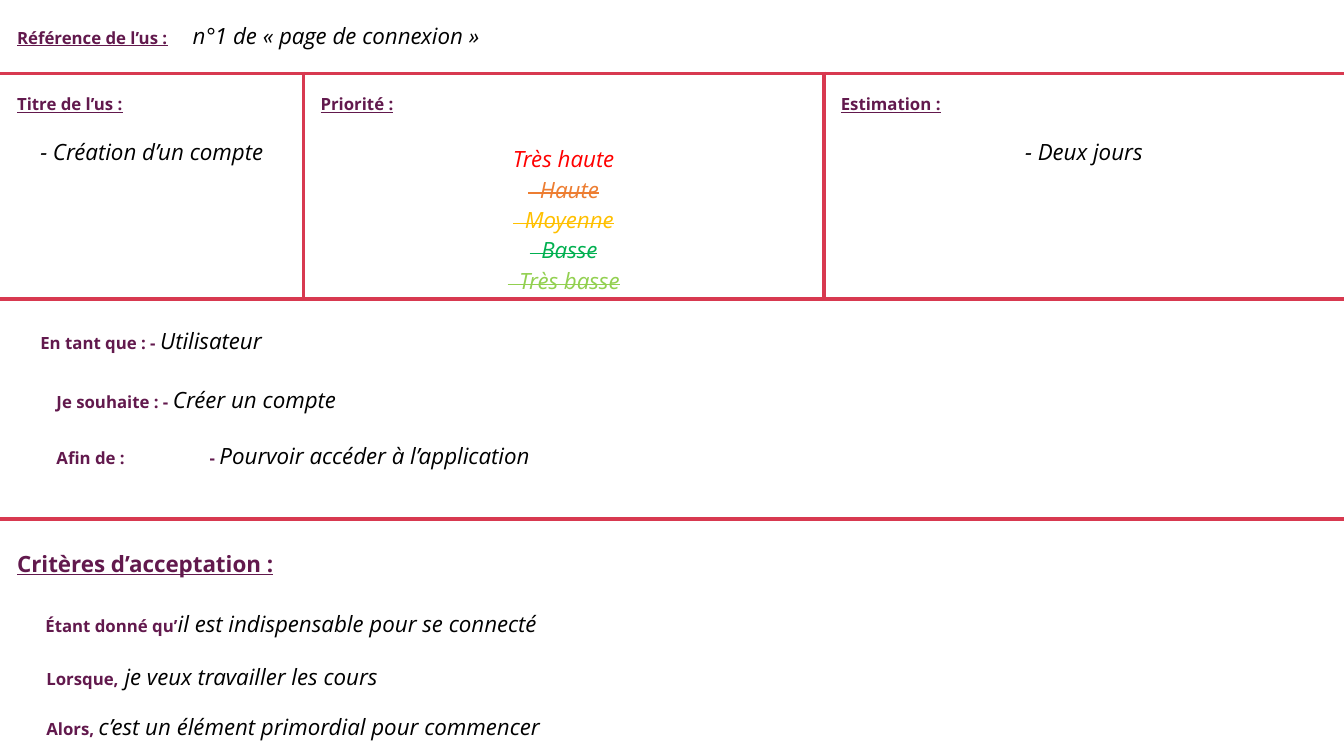
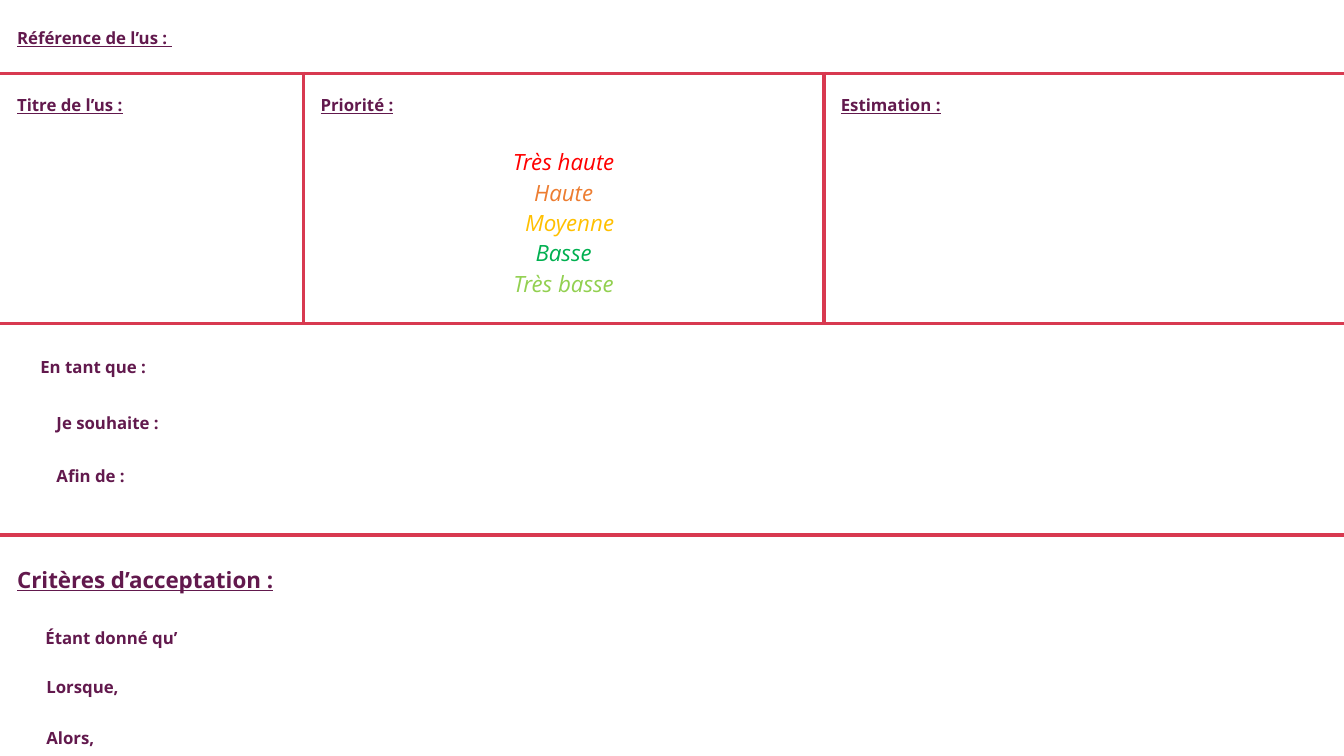
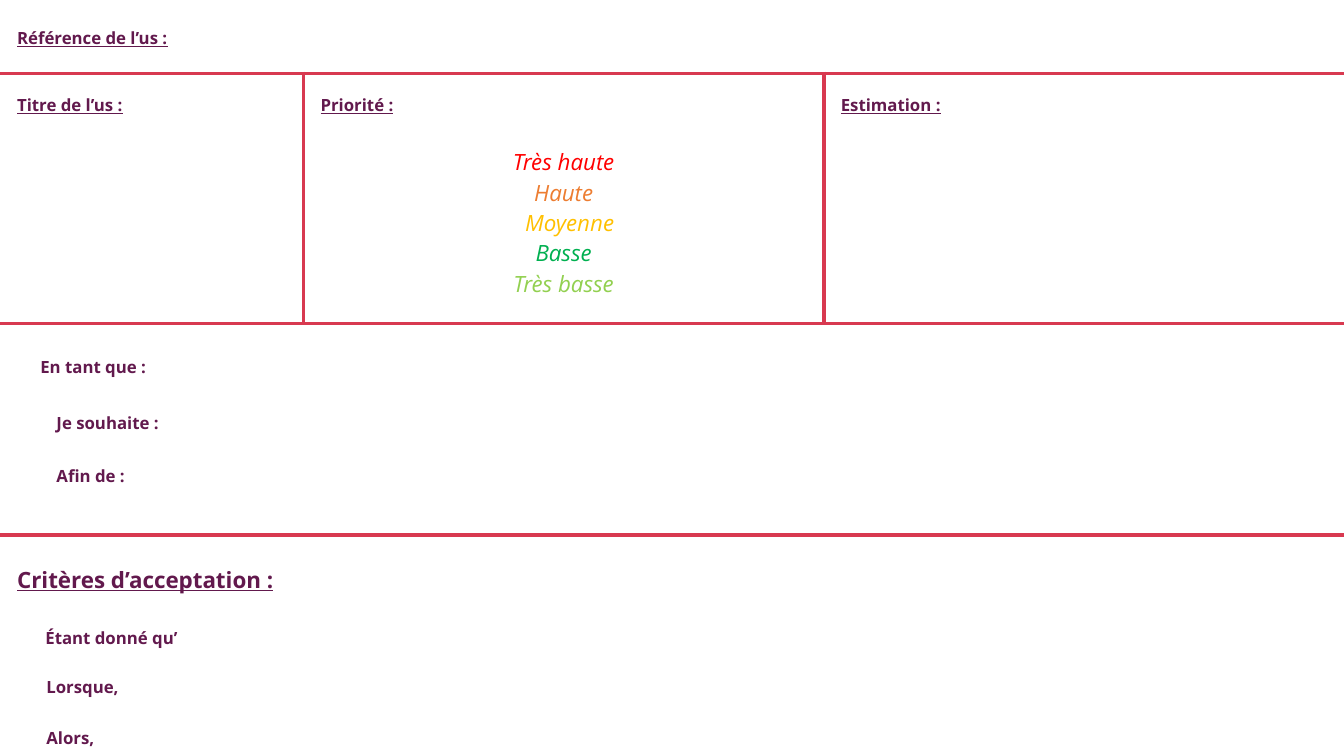
"""Build three user-story cards, each laid out as one bordered table."""
from dataclasses import dataclass
from lxml.etree import SubElement
from pptx import Presentation
from pptx.dml.color import RGBColor
from pptx.enum.text import MSO_ANCHOR, PP_ALIGN
from pptx.oxml.ns import qn
from pptx.util import Inches, Pt


@dataclass(frozen=True)
class Theme:
    font: str = "Open Sans"
    label: str = "62194D"
    value: str = "000000"
    rule: str = "D83950"
    paper: str = "FFFFFF"
    small: int = 12
    large: int = 16
    rule_pt: int = 3
    ascent: float = 1.07
    descent: float = 0.29
    pad: float = 0.06


T = Theme()
COLS = [3.01, 5.16, 5.16]
HEADINGS = ["Titre de l’us :", "Priorité :", "Estimation :"]
REFERENCE = "Référence de l’us\u00a0:"
CRITERIA_HEADING = "Critères d’acceptation :"
STORY_LABELS = [(0.4, "En tant que : "), (0.56, "Je souhaite : "), (0.56, "Afin de :")]
CRITERIA_LABELS = [(0.45, "Étant donné qu’"), (0.46, "Lorsque,"), (0.46, "Alors, ")]
LEVELS = [("Très haute", "FF0000"), ("Haute", "ED7D31"), ("Moyenne", "FFC000"),
          ("Basse", "00B050"), ("Très basse", "92D050")]
LEFT, REF_TAB, GOAL_TAB = 0.17, 1.8, 1.58
REF_Y, DETAIL_Y = 0.44, 1.6
LEVEL_STEP = T.large * (T.ascent + T.descent) / 72

FILLED = dict(
    rows=[0.73, 2.24, 2.18, 2.35], heading_y=1.1, level_y=1.67,
    story_y=[3.47, 4.05, 4.61], criteria_y=[5.68, 6.28, 6.8, 7.3])
EMPTY = dict(
    rows=[0.73, 2.48, 2.1, 2.35], heading_y=1.11, level_y=1.7,
    story_y=[3.71, 4.27, 4.8], criteria_y=[5.84, 6.39, 6.88, 7.39])

NO_ANSWERS = dict(title="", estimate="", chosen=None, story=[""] * 3, criteria=[""] * 3)
CARDS = [
    dict(layout=FILLED, reference=REFERENCE, number="\tn°1 de «\u00a0page de connexion\u00a0»",
         title="- Création d’un compte", estimate="- Deux jours", chosen="Très haute",
         story=["- Utilisateur", "- Créer un compte", "\t- Pourvoir accéder à l’application"],
         criteria=["il est indispensable pour se connecté", " je veux travailler les cours",
                   "c’est un élément primordial pour commencer"]),
    dict(layout=EMPTY, reference=REFERENCE + " ", number="", **NO_ANSWERS),
    dict(layout=EMPTY, reference=REFERENCE, number="", **NO_ANSWERS),
]


def label(text, size=T.small, underline=False):
    """Describe a bold label run."""
    return dict(text=text, size=size, color=T.label, bold=True, underline=underline)


def value(text, color=T.value, strike=False):
    """Describe an italic value run."""
    return dict(text=text, size=T.large, color=color, italic=True, strike=strike)


def line(y, runs, x=T.pad, center=False, tab=None):
    """Describe a line by its baseline, left edge and runs."""
    return dict(y=y, x=x, runs=[r for r in runs if r["text"]], center=center, tab=tab)


def add_run(p, text, size, color, bold=False, italic=False, underline=False, strike=False):
    """Append one formatted run."""
    r = p.add_run()
    r.text = text
    f = r.font
    f.name, f.size, f.color.rgb = T.font, Pt(size), RGBColor.from_string(color)
    f.bold, f.italic, f.underline = bold, italic, underline
    if strike:
        f._element.set("strike", "sngStrike")


def write(cell, top, lines):
    """Set lines on their baselines by means of paragraph spacing."""
    bottom = top
    for i, ln in enumerate(lines):
        size = max(r["size"] for r in ln["runs"])
        gap = max(0, round(ln["y"] - size * T.ascent / 72 - bottom, 2))
        p = cell.text_frame.paragraphs[0] if i == 0 else cell.text_frame.add_paragraph()
        if i == 0:
            cell.margin_top = Inches(gap)
        else:
            p.space_before = Pt(gap * 72)
        p.alignment = PP_ALIGN.CENTER if ln["center"] else PP_ALIGN.LEFT
        pPr = p._p.get_or_add_pPr()
        pPr.set("marL", str(Inches(ln["x"] - T.pad)))
        if ln["tab"]:
            tabs = SubElement(pPr, qn("a:tabLst"))
            SubElement(tabs, qn("a:tab"), pos=str(Inches(ln["tab"] - T.pad)), algn="l")
        for r in ln["runs"]:
            add_run(p, **r)
        bottom = ln["y"] + size * T.descent / 72


def style_cell(cell, ruled):
    """Fill a cell and rule the named sides."""
    cell.margin_left = cell.margin_right = Inches(T.pad)
    cell.margin_top = cell.margin_bottom = 0
    cell.vertical_anchor = MSO_ANCHOR.TOP
    tcPr = cell._tc.get_or_add_tcPr()
    for side in "LRTB":
        ln = SubElement(tcPr, qn("a:ln" + side), w=str(Pt(T.rule_pt)))
        if side in ruled:
            fill = SubElement(ln, qn("a:solidFill"))
            SubElement(fill, qn("a:srgbClr"), val=T.rule)
        else:
            SubElement(ln, qn("a:noFill"))
    cell.fill.solid()
    cell.fill.fore_color.rgb = RGBColor.from_string(T.paper)


def add_grid(s, rows):
    """Add the ruled table whose rows span it, except the three-part one."""
    frame = s.shapes.add_table(len(rows), len(COLS), 0, 0, Inches(sum(COLS)), Inches(sum(rows)))
    table = frame.table
    table.first_row = table.horz_banding = False
    for c, width in enumerate(COLS):
        table.columns[c].width = Inches(width)
    for r, height in enumerate(rows):
        table.rows[r].height = Inches(height)
        for c in range(len(COLS)):
            ruled = ("T" if r else "") + ("B" if r < len(rows) - 1 else "")
            if r == 1:
                ruled += ("L" if c else "") + ("R" if c < len(COLS) - 1 else "")
            style_cell(table.cell(r, c), ruled)
        if r != 1:
            table.cell(r, 0).merge(table.cell(r, len(COLS) - 1))
    return table


def level_lines(first_y, chosen):
    """List the priorities, striking those not chosen."""
    lines = []
    for i, (name, color) in enumerate(LEVELS):
        strike = chosen is not None and name != chosen
        x = T.pad + (0.12 if name == "Moyenne" and not strike else 0)
        run = value("  " + name if strike else name, color, strike)
        lines.append(line(first_y + i * LEVEL_STEP, [run], x, center=True))
    return lines


def answer_lines(labels, answers, ys):
    """Pair labels with their answers."""
    lines = []
    for (x, text), answer, y in zip(labels, answers, ys):
        lead, dash, rest = answer.partition("- ")
        runs = [label(text), label(lead + dash), value(rest)] if dash else [label(text), value(answer)]
        lines.append(line(y, runs, x, tab=GOAL_TAB if "\t" in answer else None))
    return lines


def add_card(prs, card):
    """Add one user-story slide."""
    lay = card["layout"]
    rows = lay["rows"]
    tops = [sum(rows[:r]) for r in range(len(rows))]
    table = add_grid(prs.slides.add_slide(prs.slide_layouts[6]), rows)

    reference = [label(card["reference"], underline=True), value(card["number"])]
    write(table.cell(0, 0), tops[0],
          [line(REF_Y, reference, LEFT, tab=REF_TAB if card["number"] else None)])

    details = [[line(DETAIL_Y, [value(card[key])], center=True)] if card[key] else []
               for key in ("title", "estimate")]
    details.insert(1, level_lines(lay["level_y"], card["chosen"]))
    for c, (heading, detail) in enumerate(zip(HEADINGS, details)):
        head = line(lay["heading_y"], [label(heading, underline=True)], LEFT)
        write(table.cell(1, c), tops[1], [head] + detail)

    write(table.cell(2, 0), tops[2], answer_lines(STORY_LABELS, card["story"], lay["story_y"]))

    head = line(lay["criteria_y"][0], [label(CRITERIA_HEADING, T.large, True)], LEFT)
    write(table.cell(3, 0), tops[3],
          [head] + answer_lines(CRITERIA_LABELS, card["criteria"], lay["criteria_y"][1:]))


prs = Presentation()
prs.slide_width, prs.slide_height = Inches(13.33), Inches(7.5)
for card in CARDS:
    add_card(prs, card)
prs.save("out.pptx")
